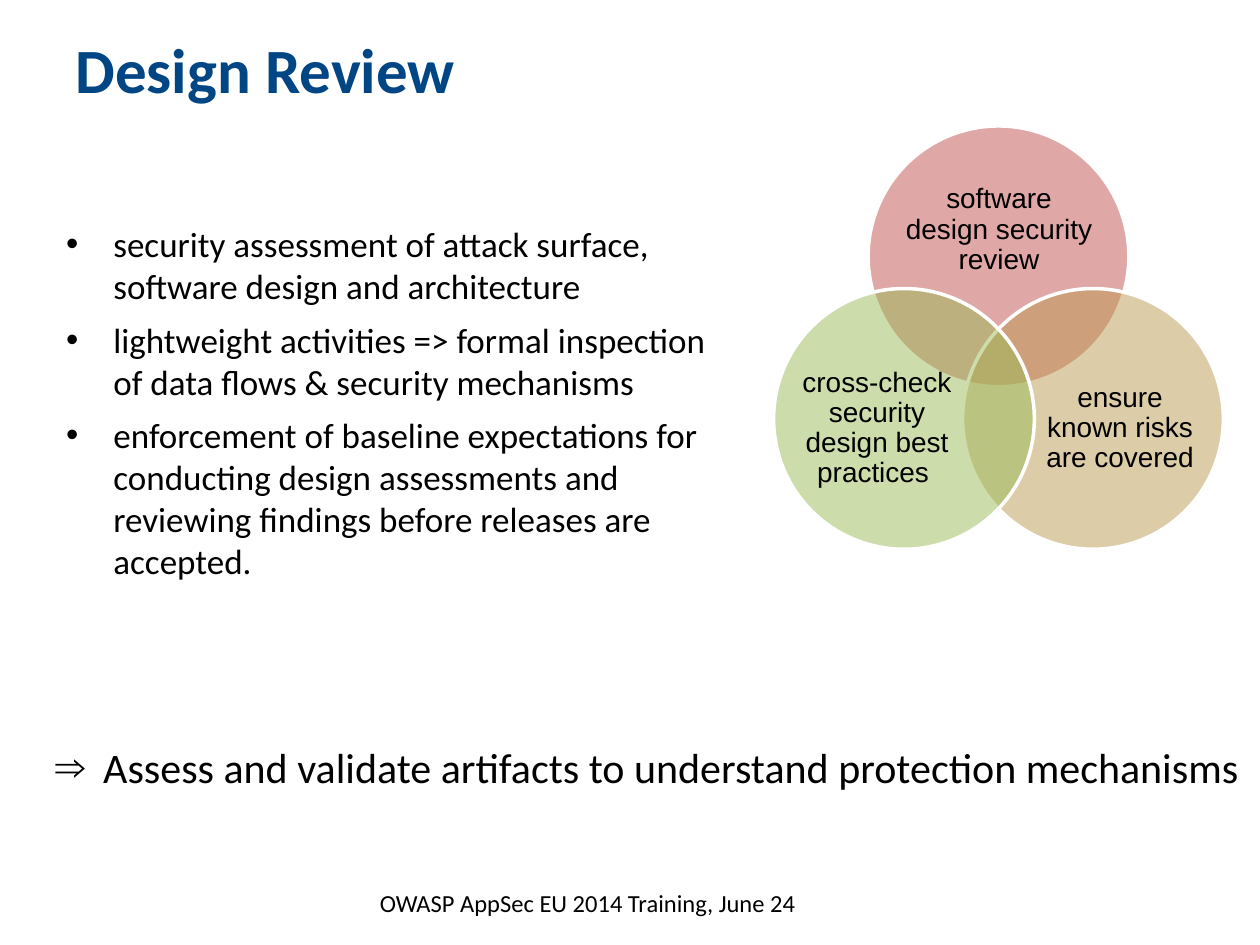
from lxml import etree
from pptx import Presentation
from pptx.dml.color import RGBColor
from pptx.enum import shapes, text
from pptx.oxml import ns
from pptx.util import Pt

COLORS = {
    "title": "004685",
    "text": "000000",
    "outline": "FFFFFF",
    "review": "C0504D",
    "risks": "BD9B53",
    "practices": "9BBB59",
}


def add_text(parent, box, lines, size, font="Calibri", color="text", inset=7.2,
             align=text.PP_ALIGN.LEFT, anchor=text.MSO_ANCHOR.TOP, bullet=None):
    frame = parent.add_textbox(*[Pt(v) for v in box]).text_frame
    frame.word_wrap = True
    frame.vertical_anchor = anchor
    frame.margin_left = frame.margin_right = Pt(inset)
    frame.margin_top = frame.margin_bottom = Pt(inset)
    for i, line in enumerate(lines):
        paragraph = frame.paragraphs[0] if i == 0 else frame.add_paragraph()
        paragraph.text = line
        paragraph.alignment = align
        if i:
            paragraph.space_before = Pt(6.4)
        if bullet:
            props = paragraph._p.get_or_add_pPr()
            props.set("marL", str(Pt(36.8)))
            props.set("indent", str(Pt(-27)))
            etree.SubElement(props, ns.qn("a:buFont"), typeface="Arial")
            etree.SubElement(props, ns.qn("a:buChar"), char=bullet)
        paragraph.font.size = Pt(size)
        paragraph.font.name = font
        paragraph.font.color.rgb = RGBColor.from_string(COLORS[color])
    return frame


prs = Presentation()
prs.slide_width, prs.slide_height = Pt(720), Pt(540)
slide = prs.slides.add_slide(prs.slide_layouts[6])

# Title
title = add_text(slide.shapes, (36, 21.6, 648, 35.3), ["Design Review"], 36,
                 color="title", anchor=text.MSO_ANCHOR.MIDDLE)
title.paragraphs[0].font.bold = True

# Review activities
add_text(slide.shapes, (20.9, 120.2, 402.5, 198.7), [
    "security assessment of attack surface, software design and architecture",
    "lightweight activities => formal inspection of data flows & security mechanisms",
    "enforcement of baseline expectations for conducting design assessments "
    "and reviewing findings before releases are accepted.",
], 20, bullet="•")

# Venn diagram: circle centre, colour, label box, label
DIAMETER = 149
CENTER_X, TOP_Y, LOWER_Y, SPREAD = 570.6, 146.5, 239.4, 54
venn = slide.shapes.add_group_shape().shapes
for x, y, color, label_box, label in [
    (CENTER_X, TOP_Y, "review", (516.2, 97.9, 109.4, 67),
     "software design security review"),
    (CENTER_X + SPREAD, LOWER_Y, "risks", (595.4, 203.8, 89.3, 82),
     "ensure known risks are covered"),
    (CENTER_X - SPREAD, LOWER_Y, "practices", (456.5, 203.8, 89.3, 82),
     "cross-check security design best practices "),
]:
    circle = venn.add_shape(shapes.MSO_SHAPE.OVAL, Pt(x - DIAMETER / 2),
                            Pt(y - DIAMETER / 2), Pt(DIAMETER), Pt(DIAMETER))
    circle.shadow.inherit = False
    circle.fill.solid()
    circle.fill.fore_color.rgb = RGBColor.from_string(COLORS[color])
    fill_color = circle._element.spPr.find(ns.qn("a:solidFill"))[0]
    etree.SubElement(fill_color, ns.qn("a:alpha"), val="50000")
    circle.line.color.rgb = RGBColor.from_string(COLORS["outline"])
    circle.line.width = Pt(2)
    caption = add_text(venn, label_box, [label], 16, font="Arial", inset=0,
                       align=text.PP_ALIGN.CENTER, anchor=text.MSO_ANCHOR.MIDDLE)
    caption.paragraphs[0].line_spacing = 0.9

# Takeaway
add_text(slide.shapes, (15.1, 416.6, 707, 44),
         ["Assess and validate artifacts to understand protection mechanisms"],
         24, bullet="⇒")

# Footer
add_text(slide.shapes, (123.8, 500.4, 424.1, 28.8),
         ["OWASP AppSec EU 2014 Training, June 24"], 14,
         align=text.PP_ALIGN.CENTER)

prs.save("out.pptx")
